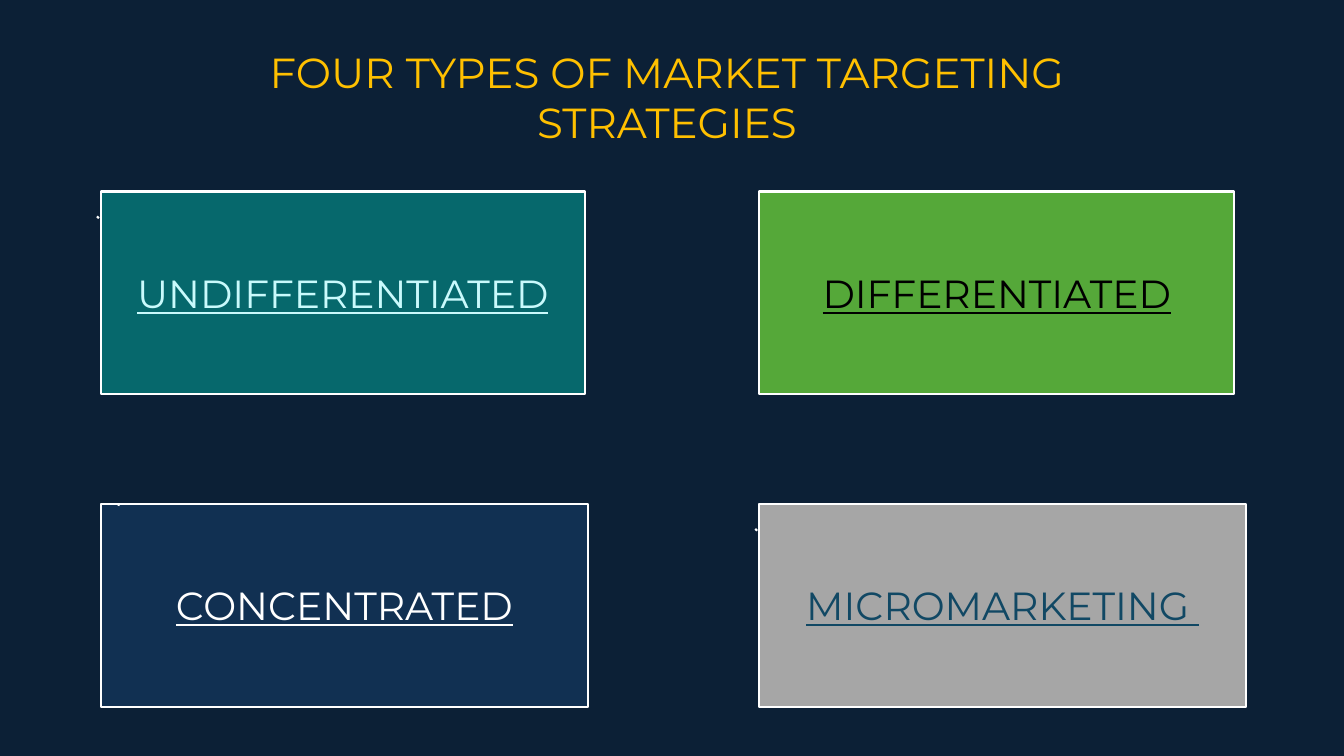
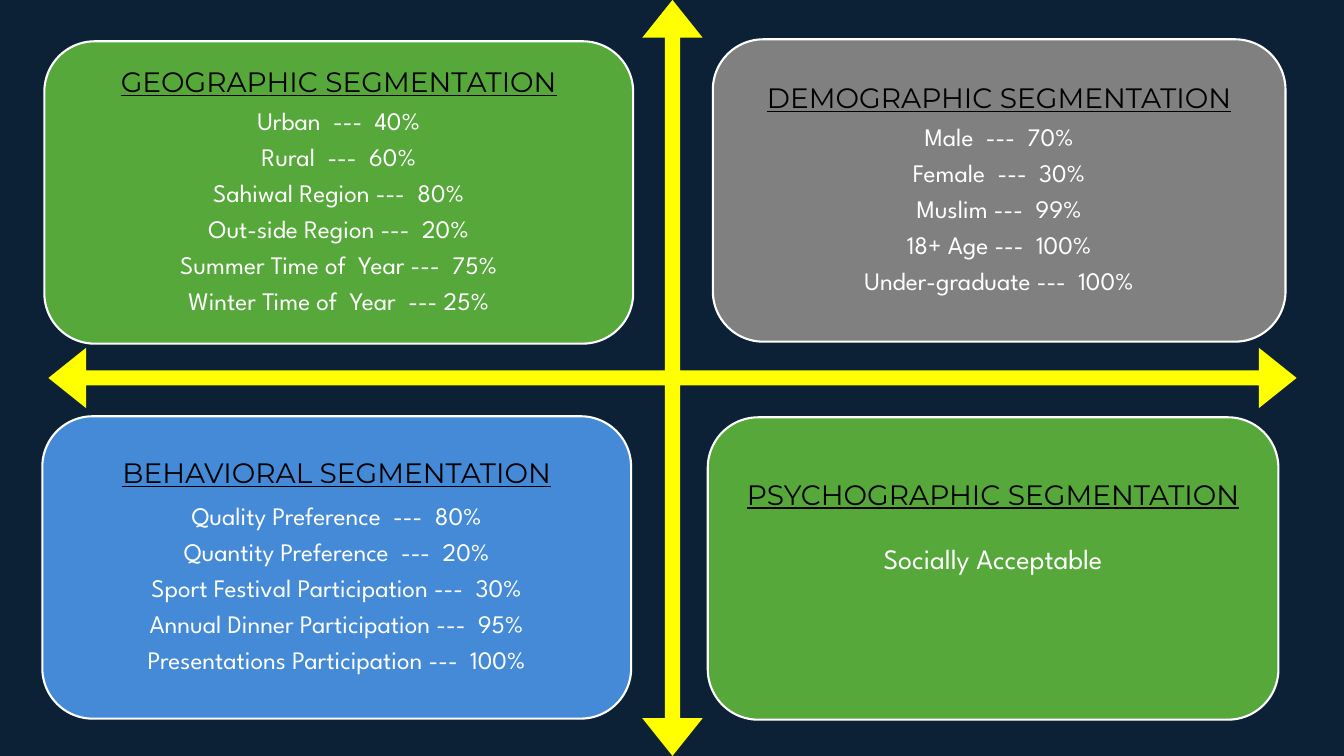
import pptx
import pptx.util
import pptx.dml.color
import pptx.enum.shapes
import pptx.enum.text

Inches = pptx.util.Inches
Pt = pptx.util.Pt
SHAPES = pptx.enum.shapes.MSO_SHAPE
ANCHOR = pptx.enum.text.MSO_ANCHOR
CENTER = pptx.enum.text.PP_ALIGN.CENTER

COLORS = {
    "navy": "0C2036", "gold": "FFC000", "yellow": "FFFF00",
    "white": "FFFFFF", "black": "000000", "green": "55A839",
    "teal": "06686C", "mist": "C9FAFC", "deep_blue": "113052",
    "silver": "A6A6A6", "petrol": "114864", "gray": "808080",
    "blue": "448AD7",
}

TITLE = {"name": "Montserrat", "size": Pt(30), "color": "gold"}
LABEL = {"name": "Montserrat", "size": Pt(28), "underline": True}
HEADING = {"name": "Montserrat", "size": Pt(20), "underline": True, "color": "black"}
ITEM = {"name": "League Spartan", "size": Pt(18), "color": "white"}

SPACE_RATIO = 0.35  # space after a segment line, as a share of its font size
CARD_INSET = 0.08

# Strategy boxes: label, box, fill, text colour, callout adjustments
SIDE_POINTER = (0.123, -0.008, 0.132, -0.004)
TOP_POINTER = (0.009, 0.036, -0.003, 0.038)
STRATEGIES = [
    ("UNDIFFERENTIATED", (1, 1.9, 4.8, 2.01), "teal", "mist", SIDE_POINTER),
    ("DIFFERENTIATED", (7.53, 1.9, 4.71, 2.01), "green", "black", None),
    ("CONCENTRATED", (1, 5, 4.83, 2.01), "deep_blue", "white", TOP_POINTER),
    ("MICROMARKETING ", (7.53, 5, 4.83, 2.01), "silver", "petrol", SIDE_POINTER),
]

# Segment cards: heading, items, box, fill, optional layout changes
SEGMENTS = [
    ("GEOGRAPHIC SEGMENTATION",
     ["Urban  ---  40%", "Rural  ---  60%", "Sahiwal Region ---  80%",
      "Out-side Region ---  20%", "Summer Time of  Year ---  75%",
      "Winter Time of  Year  --- 25%"],
     (0.44, 0.41, 5.84, 3), "green", {}),
    ("DEMOGRAPHIC SEGMENTATION",
     ["Male  ---  70%", "Female  ---  30%", "Muslim ---  99%",
      "18+ Age ---  100%", "Under-graduate ---  100%"],
     (7.07, 0.39, 5.68, 3), "gray", {}),
    ("BEHAVIORAL SEGMENTATION",
     ["Quality Preference  ---  80%", "Quantity Preference  ---  20%",
      "Sport Festival Participation ---  30%",
      "Annual Dinner Participation ---  95%",
      "Presentations Participation ---  100%"],
     (0.42, 4.13, 5.84, 3), "blue", {"heading_gap": 3}),
    ("PSYCHOGRAPHIC SEGMENTATION", ["Socially Acceptable"],
     (7.02, 4.14, 5.66, 3), "green",
     {"heading_gap": 17, "bottom": 0.88, "item_size": 20}),
]


def rgb(name):
    return pptx.dml.color.RGBColor.from_string(COLORS[name])


def format_font(font, values):
    for key, value in values.items():
        if key == "color":
            font.color.rgb = rgb(value)
        else:
            setattr(font, key, value)


def add_filled_shape(slide, kind, box, fill, line="white", adjustments=None):
    shape = slide.shapes.add_shape(kind, *map(Inches, box))
    shape.shadow.inherit = False
    shape.fill.solid()
    shape.fill.fore_color.rgb = rgb(fill)
    if line:
        shape.line.color.rgb = rgb(line)
        shape.line.width = Pt(1.5)
    else:
        shape.line.fill.background()
    for index, value in enumerate(adjustments or ()):
        shape.adjustments[index] = value
    shape.text_frame.word_wrap = True
    shape.text_frame.vertical_anchor = ANCHOR.MIDDLE
    return shape


def add_title(slide, lines, box):
    title = slide.shapes.title
    title.left, title.top, title.width, title.height = map(Inches, box)
    frame = title.text_frame
    frame.text = "\n".join(lines)
    frame.auto_size = pptx.enum.text.MSO_AUTO_SIZE.NONE
    frame.vertical_anchor = ANCHOR.TOP
    for paragraph in frame.paragraphs:
        paragraph.alignment = CENTER
        format_font(paragraph.font, TITLE)


def add_strategy(slide, label, box, fill, text_color, pointer):
    kind = SHAPES.LINE_CALLOUT_1 if pointer else SHAPES.RECTANGLE
    shape = add_filled_shape(slide, kind, box, fill, adjustments=pointer)
    paragraph = shape.text_frame.paragraphs[0]
    paragraph.text = label
    paragraph.alignment = CENTER
    format_font(paragraph.font, {**LABEL, "color": text_color})


def add_segment(slide, heading, items, box, fill, changes):
    shape = add_filled_shape(slide, SHAPES.ROUNDED_RECTANGLE, box, fill)
    frame = shape.text_frame
    for side in ("left", "top", "right", "bottom"):
        setattr(frame, "margin_" + side, Inches(changes.get(side, CARD_INSET)))
    frame.text = "\n".join([heading, *items])
    item_format = {**ITEM, "size": Pt(changes.get("item_size", 18))}
    for index, paragraph in enumerate(frame.paragraphs):
        values = item_format if index else HEADING
        gap = 0 if index else changes.get("heading_gap", 0)
        paragraph.alignment = CENTER
        paragraph.line_spacing = 0.9
        paragraph.space_after = Pt(values["size"].pt * SPACE_RATIO + gap)
        format_font(paragraph.font, values)


def build_strategies(presentation):
    slide = presentation.slides.add_slide(presentation.slide_layouts[5])
    add_title(slide, ["FOUR TYPES OF MARKET TARGETING", "STRATEGIES"],
              (0.17, 0.41, 12.89, 1.11))
    for strategy in STRATEGIES:
        add_strategy(slide, *strategy)


def build_segments(presentation):
    slide = presentation.slides.add_slide(presentation.slide_layouts[6])
    # Crossing arrows that part the four cards
    add_filled_shape(slide, SHAPES.QUAD_ARROW, (0.48, 0, 12.38, 7.5), "yellow",
                     line=None, adjustments=(0.02, 0.04, 0.05))
    for segment in SEGMENTS:
        add_segment(slide, *segment)


def main():
    presentation = pptx.Presentation()
    presentation.slide_width = Inches(13.33)
    presentation.slide_height = Inches(7.5)
    # Shared background
    background = presentation.slide_master.background.fill
    background.solid()
    background.fore_color.rgb = rgb("navy")
    build_strategies(presentation)
    build_segments(presentation)
    presentation.save("out.pptx")


if __name__ == "__main__":
    main()
